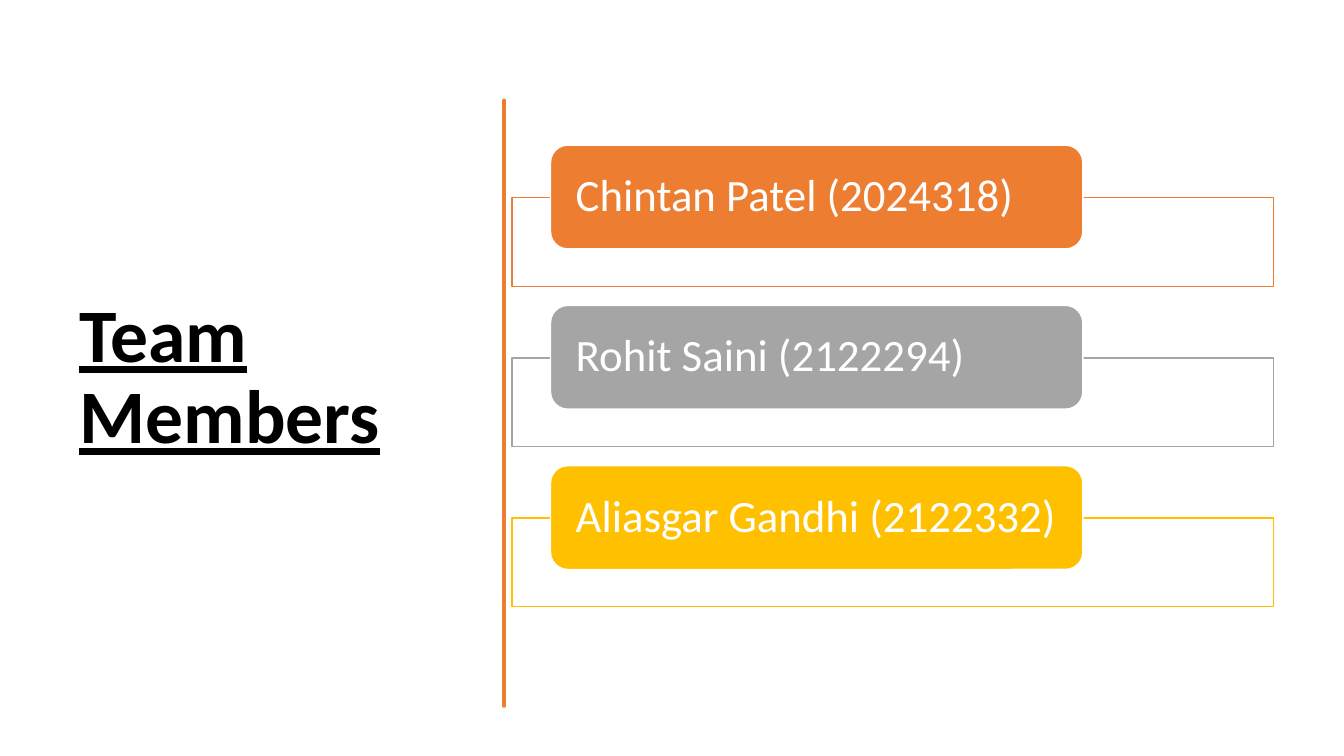
import pptx
import pptx.dml.color
import pptx.enum.shapes
import pptx.enum.text
import pptx.oxml
import pptx.oxml.ns
import pptx.util
from pptx.util import Inches

FONT = "Calibri"
ORANGE, GREY, YELLOW, WHITE, BLACK = "ED7D31", "A5A5A5", "FFC000", "FFFFFF", "000000"
MEMBERS = [
    ("Chintan Patel (2024318)", ORANGE),
    ("Rohit Saini (2122294)", GREY),
    ("Aliasgar Gandhi (2122332)", YELLOW),
]
FIRST_TOP, ROW_STEP = 1.44, 1.59

# Hand-drawn divider: each row is two control points and an end point.
DIVIDER_START = (4.75, 0.84)
DIVIDER_CURVES = [
    (4.77, 1.02, 4.77, 1.19, 4.75, 1.46),
    (4.73, 1.73, 4.76, 1.95, 4.75, 2.26),
    (4.74, 2.57, 4.75, 2.62, 4.75, 2.94),
    (4.74, 3.25, 4.77, 3.42, 4.75, 3.56),
    (4.73, 3.7, 4.79, 4.14, 4.75, 4.36),
    (4.71, 4.57, 4.72, 4.84, 4.75, 5.1),
    (4.77, 5.36, 4.77, 5.64, 4.75, 5.84),
    (4.73, 6.03, 4.76, 6.5, 4.75, 6.76),
    (4.74, 6.76, 4.73, 6.76, 4.73, 6.76),
    (4.74, 6.46, 4.71, 6.44, 4.73, 6.13),
    (4.74, 5.83, 4.74, 5.7, 4.73, 5.57),
    (4.72, 5.44, 4.72, 4.95, 4.73, 4.77),
    (4.73, 4.59, 4.71, 4.45, 4.73, 4.15),
    (4.74, 3.86, 4.72, 3.73, 4.73, 3.35),
    (4.74, 2.98, 4.72, 2.81, 4.73, 2.5),
    (4.74, 2.18, 4.75, 2, 4.73, 1.81),
    (4.7, 1.63, 4.77, 1.04, 4.73, 0.84),
]


def color(value):
    """Return the colour for a hex string."""
    return pptx.dml.color.RGBColor.from_string(value)


def style_shape(shape, fill, line, width):
    """Give a shape a flat fill and an outline, without a shadow."""
    shape.shadow.inherit = False
    shape.fill.solid()
    shape.fill.fore_color.rgb = color(fill)
    shape.line.color.rgb = color(line)
    shape.line.width = pptx.util.Pt(width)


def set_opacity(shape, percent):
    """Make the solid fill of a shape partly transparent."""
    fill_color = shape.fill._xPr.find(".//" + pptx.oxml.ns.qn("a:srgbClr"))
    alpha = pptx.oxml.parse_xml("<a:alpha %s/>" % pptx.oxml.ns.nsdecls("a"))
    alpha.set("val", str(percent * 1000))
    fill_color.append(alpha)


def write_text(shape, text, size, text_color, emphasis=False):
    """Write one left-aligned paragraph, centred vertically."""
    frame = shape.text_frame
    frame.word_wrap = True
    frame.vertical_anchor = pptx.enum.text.MSO_ANCHOR.MIDDLE
    paragraph = frame.paragraphs[0]
    paragraph.alignment = pptx.enum.text.PP_ALIGN.LEFT
    paragraph.line_spacing = 0.9
    run = paragraph.add_run()
    run.text = text
    run.font.name = FONT
    run.font.size = pptx.util.Pt(size)
    run.font.color.rgb = color(text_color)
    if emphasis:
        run.font.bold = True
        run.font.underline = True


def add_title(slide, text):
    """Add the large underlined title on the left."""
    box = slide.shapes.add_textbox(Inches(0.69), Inches(0.7), Inches(3.74), Inches(6.11))
    write_text(box, text, 54, BLACK, emphasis=True)
    box.text_frame.paragraphs[0].space_after = pptx.util.Pt(6)


def curve_points(start, curves, steps=6):
    """Return points along a chain of cubic Bezier curves."""
    points = []
    for x1, y1, x2, y2, x3, y3 in curves:
        for step in range(1, steps + 1):
            t = step / steps
            weights = ((1 - t) ** 3, 3 * t * (1 - t) ** 2, 3 * t * t * (1 - t), t ** 3)
            points.append(tuple(
                sum(weight * value for weight, value in zip(weights, values))
                for values in ((start[0], x1, x2, x3), (start[1], y1, y2, y3))
            ))
        start = (x3, y3)
    return points


def add_divider(slide):
    """Add the hand-drawn vertical line."""
    builder = slide.shapes.build_freeform(*DIVIDER_START, scale=Inches(1))
    builder.add_line_segments(curve_points(DIVIDER_START, DIVIDER_CURVES), close=True)
    divider = builder.convert_to_shape()
    style_shape(divider, ORANGE, ORANGE, 3.25)
    divider.line._get_or_add_ln().append(
        pptx.oxml.parse_xml("<a:round %s/>" % pptx.oxml.ns.nsdecls("a")))


def add_member(slide, top, name, accent):
    """Add a member's outlined panel with the name label over it."""
    kinds = pptx.enum.shapes.MSO_SHAPE
    panel = slide.shapes.add_shape(
        kinds.RECTANGLE, Inches(5.08), Inches(top + 0.52), Inches(7.55), Inches(0.88))
    style_shape(panel, WHITE, accent, 1)
    set_opacity(panel, 90)
    label = slide.shapes.add_shape(
        kinds.ROUNDED_RECTANGLE, Inches(5.46), Inches(top), Inches(5.28), Inches(1.03))
    style_shape(label, accent, WHITE, 1)
    frame = label.text_frame
    frame.margin_left, frame.margin_right = Inches(0.2), Inches(0.1)
    frame.margin_top = frame.margin_bottom = 0
    write_text(label, name, 32, WHITE)


def main():
    """Build the team slide and save it."""
    presentation = pptx.Presentation()
    presentation.slide_width, presentation.slide_height = Inches(13.33), Inches(7.5)
    slide = presentation.slides.add_slide(presentation.slide_layouts[6])
    add_title(slide, "Team Members")
    add_divider(slide)
    for row, (name, accent) in enumerate(MEMBERS):
        add_member(slide, FIRST_TOP + row * ROW_STEP, name, accent)
    presentation.save("out.pptx")


main()
